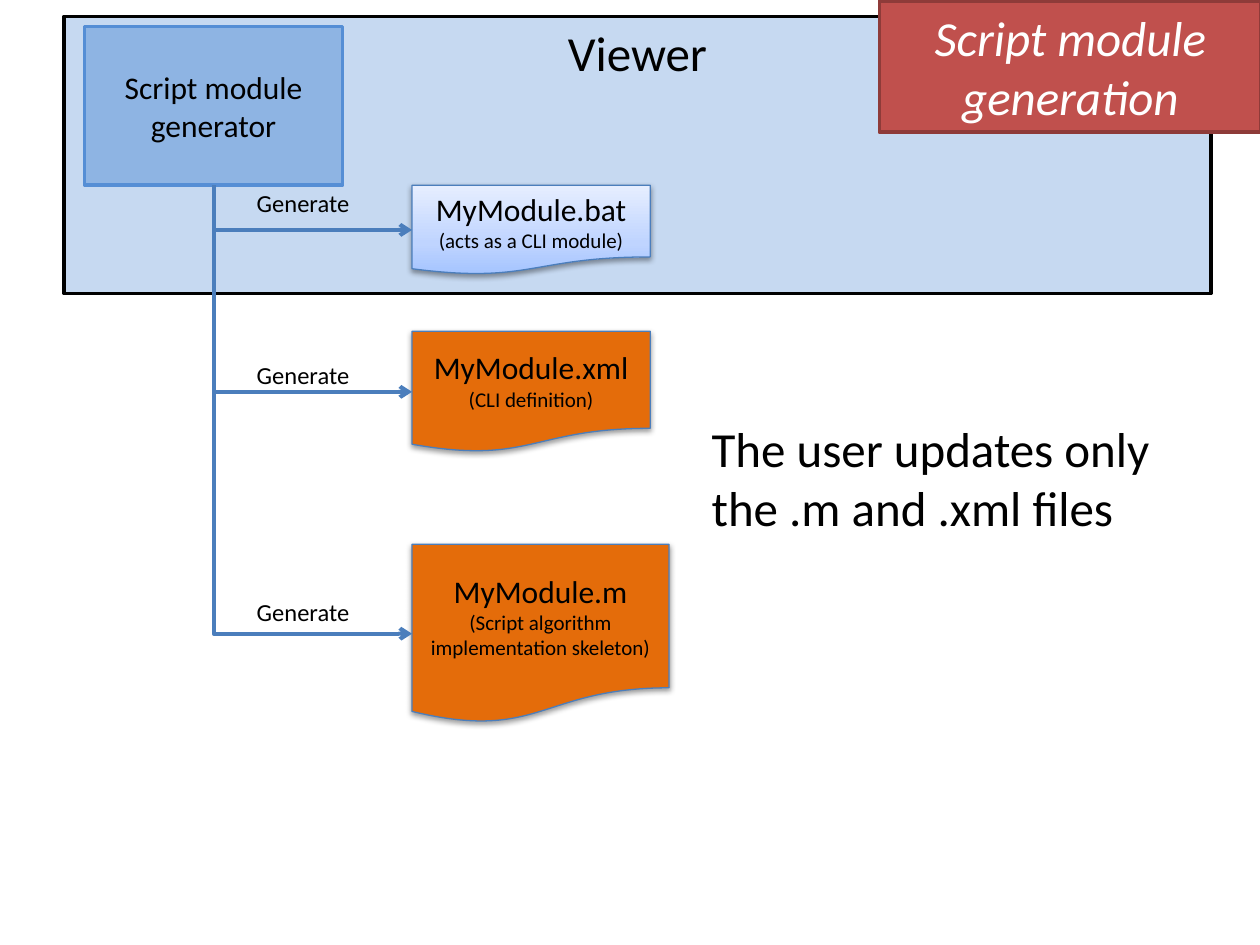
from lxml import etree
from pptx import Presentation
from pptx.dml.color import RGBColor
from pptx.enum.shapes import MSO_CONNECTOR, MSO_SHAPE
from pptx.enum.text import MSO_ANCHOR, MSO_AUTO_SIZE, PP_ALIGN
from pptx.oxml import parse_xml
from pptx.oxml.ns import qn
from pptx.util import Inches, Pt

RECTANGLE, DOCUMENT = MSO_SHAPE.RECTANGLE, MSO_SHAPE.FLOWCHART_DOCUMENT
ELBOW = MSO_CONNECTOR.ELBOW
TOP, MIDDLE = MSO_ANCHOR.TOP, MSO_ANCHOR.MIDDLE
LEFT, CENTER = PP_ALIGN.LEFT, PP_ALIGN.CENTER
NO_AUTOFIT = MSO_AUTO_SIZE.NONE

BLACK = RGBColor(0x00, 0x00, 0x00)
WHITE = RGBColor(0xFF, 0xFF, 0xFF)
PALE_BLUE = RGBColor(0xC6, 0xD9, 0xF1)
MID_BLUE = RGBColor(0x8E, 0xB4, 0xE3)
EDGE_BLUE = RGBColor(0x55, 0x8E, 0xD5)
LINE_BLUE = RGBColor(0x4B, 0x7E, 0xBC)
ORANGE = RGBColor(0xE4, 0x6C, 0x0A)
RED = RGBColor(0xC0, 0x50, 0x4D)
DARK_RED = RGBColor(0x8E, 0x3B, 0x39)

DRAWING = 'xmlns:a="http://schemas.openxmlformats.org/drawingml/2006/main"'
SHADOW = (f'<a:effectLst {DRAWING}><a:outerShdw blurRad="40000" dist="20000" dir="5400000" '
          'rotWithShape="0"><a:srgbClr val="000000"><a:alpha val="38000"/></a:srgbClr>'
          '</a:outerShdw></a:effectLst>')
GRADIENT = (f'<a:gradFill {DRAWING} rotWithShape="1"><a:gsLst>'
            '<a:gs pos="0"><a:srgbClr val="A4C4FF"/></a:gs>'
            '<a:gs pos="35000"><a:srgbClr val="BFD4FF"/></a:gs>'
            '<a:gs pos="100000"><a:srgbClr val="E6EEFF"/></a:gs>'
            '</a:gsLst><a:lin ang="16200000" scaled="0"/></a:gradFill>')


def write_text(shape, *lines, sizes=(18,), color=BLACK, italic=False,
               align=CENTER, anchor=MIDDLE, wrap=True):
    frame = shape.text_frame
    frame.word_wrap = wrap
    frame.auto_size = NO_AUTOFIT
    frame.vertical_anchor = anchor
    frame.text = "\n".join(lines)
    for paragraph, size in zip(frame.paragraphs, sizes):
        paragraph.alignment = align
        font = paragraph.runs[0].font
        font.name, font.size, font.italic = "Calibri", Pt(size), italic
        font.color.rgb = color


def paint(shape, fill, line, width):
    shape.shadow.inherit = False
    shape.fill.solid()
    shape.fill.fore_color.rgb = fill
    shape.line.color.rgb = line
    shape.line.width = Pt(width)


presentation = Presentation()
presentation.slide_width, presentation.slide_height = Inches(10), Inches(7.5)
slide = presentation.slides.add_slide(presentation.slide_layouts[5])
shapes = slide.shapes

# Application area with the generator inside it
application = shapes.add_shape(RECTANGLE, Inches(0.51), Inches(0.13), Inches(9.1), Inches(2.2))
paint(application, PALE_BLUE, BLACK, 2)
write_text(application, "Viewer", sizes=(28,), anchor=TOP)

generator = shapes.add_shape(RECTANGLE, Inches(0.67), Inches(0.21), Inches(2.05), Inches(1.26))
paint(generator, MID_BLUE, EDGE_BLUE, 2)
write_text(generator, "Script module generator")

# Generated files, each with its arrow and label
files = [
    # name, note, top, width, height, label top
    ("MyModule.m", "(Script algorithm implementation skeleton)", 4.32, 2.04, 1.42, 4.69),
    ("MyModule.xml", "(CLI definition)", 2.63, 1.89, 0.96, 2.81),
    ("MyModule.bat", "(acts as a CLI module)", 1.47, 1.89, 0.71, 1.44),
]
file_left = Inches(3.27)
start_x = generator.left + generator.width // 2
start_y = generator.top + generator.height
run = file_left - start_x

for name, note, top, width, height, label_top in files:
    document = shapes.add_shape(DOCUMENT, file_left, Inches(top), Inches(width), Inches(height))
    paint(document, ORANGE, LINE_BLUE, 0.75)
    properties = document._element.spPr
    properties.replace(properties.find(qn("a:effectLst")), parse_xml(SHADOW))
    if name.endswith(".bat"):
        properties.replace(properties.find(qn("a:solidFill")), parse_xml(GRADIENT))
    write_text(document, name, note, sizes=(18, 12))

    # A single-bend arrow is a flipped elbow turned by 270 degrees about its centre
    drop = document.top + document.height // 2 - start_y
    left = start_x + (run - drop) // 2
    upper = start_y + (drop - run) // 2
    arrow = shapes.add_connector(ELBOW, left + drop, upper, left, upper + run)
    arrow.line.color.rgb = LINE_BLUE
    arrow.line.width = Pt(2.25)
    properties = arrow._element.spPr
    properties.find(qn("a:xfrm")).set("rot", "16200000")
    properties.find(qn("a:prstGeom")).set("prst", "bentConnector2")
    etree.SubElement(properties.find(qn("a:ln")), qn("a:tailEnd"), type="arrow")
    etree.SubElement(properties, qn("a:effectLst"))

    label = shapes.add_textbox(Inches(1.93), Inches(label_top), Inches(0.95), Inches(0.34))
    write_text(label, "Generate", sizes=(14,), anchor=TOP, wrap=False)

# Remark
remark = shapes.add_textbox(Inches(5.55), Inches(3.27), Inches(3.9), Inches(1.04))
remark.fill.solid()
remark.fill.fore_color.rgb = WHITE
write_text(remark, "The user updates only the .m and .xml files", sizes=(28,),
           align=LEFT, anchor=TOP)

# Title, brought in front of the application area
title = shapes.title
title.left, title.top = Inches(6.98), Inches(0.01)
title.width, title.height = Inches(3.03), Inches(1.04)
paint(title, RED, DARK_RED, 2)
write_text(title, "Script module generation", sizes=(28,), color=WHITE, italic=True, anchor=TOP)
shapes._spTree.append(title._element)

presentation.save("out.pptx")
